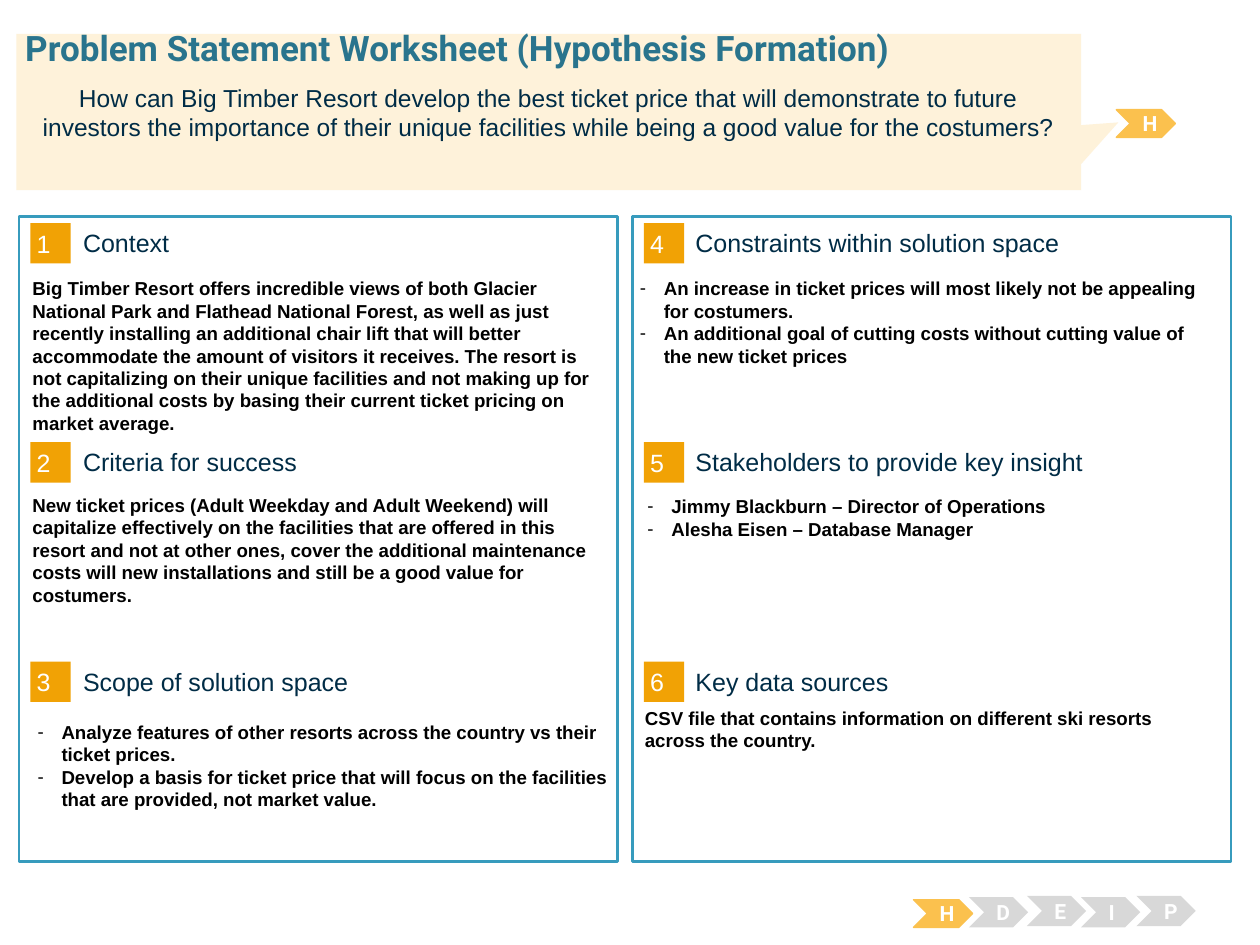
from lxml.etree import SubElement
from pptx import Presentation
from pptx.dml.color import RGBColor
from pptx.enum.shapes import MSO_SHAPE
from pptx.enum.text import MSO_ANCHOR, MSO_AUTO_SIZE, PP_ALIGN
from pptx.oxml.ns import qn
from pptx.util import Inches, Pt

COLORS = {
    "white": "FFFFFF", "black": "000000", "navy": "002C46", "teal": "29748D",
    "frame": "379BBD", "orange": "F1A205", "amber": "FBC14E",
    "grey": "D8D8D8", "cream": "FEF2DA",
}


def write(box, lines, size=14.3, font="Arial", color="navy", bold=False,
          align=PP_ALIGN.LEFT, anchor=MSO_ANCHOR.MIDDLE, inset=(0, 0), bullet=None):
    """Fill a shape with one formatted paragraph per line."""
    frame = box.text_frame
    frame.word_wrap = True
    frame.auto_size = MSO_AUTO_SIZE.NONE
    frame.vertical_anchor = anchor
    frame.margin_left = frame.margin_right = Inches(inset[0])
    frame.margin_top = frame.margin_bottom = Inches(inset[1])
    for index, line in enumerate(lines):
        para = frame.add_paragraph() if index else frame.paragraphs[0]
        para.alignment = align
        span = para.add_run()
        span.text = line
        span.font.size = Pt(size)
        span.font.name = font
        span.font.bold = bold
        span.font.color.rgb = RGBColor.from_string(COLORS[color])
        if bullet:
            props = para._p.get_or_add_pPr()
            props.set("marL", str(Inches(0.19)))
            props.set("indent", str(-Inches(0.19)))
            tint = SubElement(props, qn("a:buClr"))
            SubElement(tint, qn("a:srgbClr")).set("val", COLORS["black"])
            SubElement(props, qn("a:buFont")).set("typeface", "Arial")
            SubElement(props, qn("a:buChar")).set("char", bullet)


def add_block(kind, left, top, width, height, fill, line=None, line_width=0.75):
    """Add a flat filled preset shape, outlined only if a line colour is given."""
    block = page.shapes.add_shape(
        kind, Inches(left), Inches(top), Inches(width), Inches(height))
    block.shadow.inherit = False
    block.fill.solid()
    block.fill.fore_color.rgb = RGBColor.from_string(COLORS[fill])
    if line:
        block.line.color.rgb = RGBColor.from_string(COLORS[line])
        block.line.width = Pt(line_width)
    else:
        block.line.fill.background()
    return block


deck = Presentation()
deck.slide_width, deck.slide_height = Inches(10), Inches(7.5)
page = deck.slides.add_slide(deck.slide_layouts[5])

# Two columns of three numbered sections: heading, body left and top, bullet, body
columns = [
    (0.15, 0.24, 0.66, [
        ("Context", 0.16, 2.15, 1.36, None, [
            "Big Timber Resort offers incredible views of both Glacier National Park "
            "and Flathead National Forest, as well as just recently installing an "
            "additional chair lift that will better accommodate the amount of visitors "
            "it receives. The resort is not capitalizing on their unique facilities and "
            "not making up for the additional costs by basing their current ticket "
            "pricing on market average."]),
        ("Criteria for success", 0.16, 3.87, 1.54, None, [
            "New ticket prices (Adult Weekday and Adult Weekend) will capitalize "
            "effectively on the facilities that are offered in this resort and not at "
            "other ones, cover the additional maintenance costs will new installations "
            "and still be a good value for costumers."]),
        ("Scope of solution space", 0.2, 5.67, 0.82, "-", [
            "Analyze features of other resorts across the country vs their ticket prices.",
            "Develop a basis for ticket price that will focus on the facilities that are "
            "provided, not market value."]),
    ]),
    (5.02, 5.11, 5.52, [
        ("Constraints within solution space", 4.98, 2.15, 1.18, "-", [
            "An increase in ticket prices will most likely not be appealing for costumers.",
            "An additional goal of cutting costs without cutting value of the new ticket "
            "prices"]),
        ("Stakeholders to provide key insight", 5.04, 3.88, 1.18, "-", [
            "Jimmy Blackburn – Director of Operations",
            "Alesha Eisen – Database Manager"]),
        ("Key data sources", 5.02, 5.56, 1.18, None, [
            "CSV file that contains information on different ski resorts across the "
            "country."]),
    ]),
]
number = 0
for frame_left, badge_left, heading_left, sections in columns:
    add_block(MSO_SHAPE.RECTANGLE, frame_left, 1.72, 4.75, 5.12, "white", "frame", 1.5)
    for row, (heading, left, top, height, bullet, lines) in enumerate(sections):
        number += 1
        badge_top = 1.77 + 1.74 * row
        badge = add_block(
            MSO_SHAPE.RECTANGLE, badge_left, badge_top, 0.32, 0.32, "orange")
        write(badge, [str(number)], color="white", inset=(0.05, 0.05))
        label = page.shapes.add_textbox(
            Inches(heading_left), Inches(badge_top + 0.03), Inches(3.93), Inches(0.25))
        write(label, [heading])
        body = page.shapes.add_textbox(
            Inches(left), Inches(top), Inches(4.73), Inches(height))
        write(body, lines, size=10.7, color="black", bold=True,
              anchor=MSO_ANCHOR.TOP, inset=(0.1, 0.05), bullet=bullet)

# Stage tracker in the footer, and the current stage beside the question
stages = [
    ("H", 7.25, 7.14), ("D", 7.69, 7.12), ("E", 8.15, 7.11),
    ("I", 8.58, 7.12), ("P", 9.02, 7.11), ("H", 8.86, 0.87),
]
for letter, left, top in stages:
    current = letter == "H"
    chevron = add_block(
        MSO_SHAPE.CHEVRON, left, top, 0.47, 0.22 if current else 0.24,
        "amber" if current else "grey", "amber" if current else None)
    write(chevron, [letter], size=12, font="Roboto", color="white", bold=True,
          align=PP_ALIGN.CENTER, inset=(0.1, 0.05))

question = add_block(MSO_SHAPE.RECTANGULAR_CALLOUT, 0.13, 0.27, 8.45, 1.24, "cream")
question.adjustments[0] = 0.535
question.adjustments[1] = 0.066
write(question, [
    "How can Big Timber Resort develop the best ticket price that will demonstrate to "
    "future investors the importance of their unique facilities while being a good "
    "value for the costumers?"],
    size=14, align=PP_ALIGN.CENTER, inset=(0.1, 0.05))

title = page.shapes.title
title.left, title.top = Inches(0.2), Inches(0.21)
title.width, title.height = Inches(9.62), Inches(0.34)
write(title, ["Problem Statement Worksheet (Hypothesis Formation)"],
      size=20, font="Roboto", color="teal", bold=True)
page.shapes._spTree.append(title._element)  # bring the title in front of the callout

deck.save("out.pptx")
